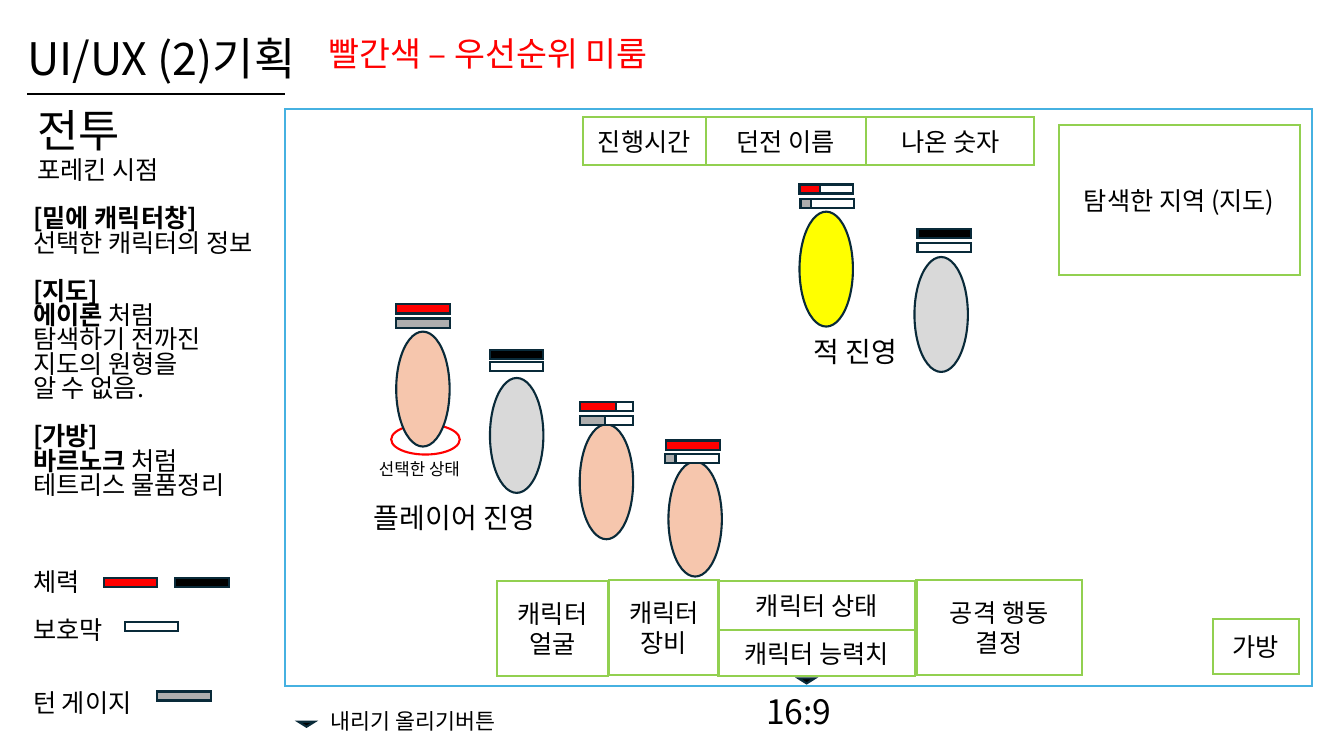
from lxml.etree import SubElement
from pptx import Presentation
from pptx.dml.color import RGBColor
from pptx.enum.shapes import MSO_CONNECTOR, MSO_SHAPE
from pptx.enum.text import MSO_ANCHOR, PP_ALIGN
from pptx.oxml.ns import qn
from pptx.util import Inches, Pt

FONT = "Noto Sans CJK KR"
BLACK, WHITE, RED, GRAY = "000000", "FFFFFF", "FF0000", "AEAEAE"
INK, GREEN, BLUE = "092A39", "92D050", "46B1E1"
SKIN, PALE, YELLOW = "F6C6AD", "D9D9D9", "FFFF00"
BAR_WIDTH, BAR_HEIGHT = 0.53, 0.09
BODY_WIDTH, BODY_HEIGHT = 0.53, 1.14

# Content: left, top, width, height, lines of (text, size), colour, line spacing
LABELS = [
    (0.17, 0.13, 11.5, 0.96, [("UI/UX (2)기획", 32)], BLACK, 0.9),
    (3.16, 0.15, 4.32, 0.8, [("빨간색 – 우선순위 미룸", 24)], RED, 0.9),
    (0.27, 0.93, 2.58, 1.05, [("전투", 32), ("포레킨 시점", 18)], BLACK, 0.9),
    (7.5, 6.68, 1.25, 0.8, [("16:9", 24)], BLACK, 0.9),
    (3.61, 4.92, 2.14, 0.46, [("플레이어 진영", 20)], BLACK, 0.9),
    (7.97, 3.28, 2.14, 0.46, [("적 진영", 20)], BLACK, 0.9),
    (3.66, 4.43, 1.15, 0.46, [("선택한 상태", 12)], BLACK, 0.9),
    (3.18, 6.95, 2.14, 0.46, [("내리기 올리기버튼", 15.5)], BLACK, 0.7),
]

# Side notes: empty lines' worth of space before, bold part, regular part
NOTES = [
    (0, "[밑에 캐릭터창]", ""),
    (0, "", "선택한 캐릭터의 정보"),
    (1, "[지도]", ""),
    (0, "에이론", " 처럼"),
    (0, "", "탐색하기 전까진"),
    (0, "", "지도의 원형을"),
    (0, "", "알 수 없음."),
    (1, "[가방]", ""),
    (0, "바르노크", " 처럼"),
    (0, "", "테트리스 물품정리"),
    (3, "", "체력"),
    (1, "", "보호막"),
    (2, "", "턴 게이지"),
]
NOTE_LINE = 17.3

# Bodies: left, top, colour
BODIES = [
    (3.93, 3.29, SKIN), (4.86, 3.75, PALE), (5.75, 4.21, SKIN),
    (6.63, 4.58, SKIN), (7.93, 2.1, YELLOW), (9.07, 2.55, PALE),
]

# Gauges: left, top, colour, width of the empty part at the right
GAUGES = [
    (3.93, 3.02, RED, 0), (3.93, 3.16, GRAY, 0),
    (4.86, 3.47, BLACK, 0), (4.86, 3.59, WHITE, 0),
    (5.75, 3.99, RED, 0.17), (5.75, 4.13, GRAY, 0.28),
    (6.61, 4.37, RED, 0), (6.6, 4.5, GRAY, 0.43),
    (7.93, 1.83, RED, 0.33), (7.94, 1.97, GRAY, 0.43),
    (9.1, 2.27, BLACK, 0), (9.1, 2.41, WHITE, 0),
    (1.03, 5.73, RED, 0), (1.74, 5.73, BLACK, 0),
    (1.24, 6.17, WHITE, 0), (1.56, 6.86, GRAY, 0),
]

STATUS_LEFT, STATUS_TOP, STATUS_HEIGHT = 5.78, 1.16, 0.48
STATUS = [("진행시간", 1.22), ("던전 이름", 1.59), ("나온 숫자", 1.67)]

PANELS = [
    (10.5, 1.24, 2.39, 1.49, ["탐색한 지역 (지도)"]),
    (12.03, 6.14, 0.85, 0.55, ["가방"]),
    (4.93, 5.76, 1.1, 0.95, ["캐릭터", "얼굴"]),
    (7.12, 5.76, 1.96, 0.49, ["캐릭터 상태"]),
    (7.12, 6.25, 1.96, 0.46, ["캐릭터 능력치"]),
    (6.04, 5.75, 1.09, 0.95, ["캐릭터", "장비"]),
    (9.09, 5.75, 1.64, 0.95, ["공격 행동 결정"]),
]
ARROWS = [(7.92, 6.73), (2.96, 7.16)]

deck = Presentation()
deck.slide_width, deck.slide_height = Inches(13.33), Inches(7.5)
page = deck.slides.add_slide(deck.slide_layouts[6])


def color(value):
    return RGBColor.from_string(value)


def style(para, size, value=BLACK):
    font = para.font
    font.size, font.name = Pt(size), FONT
    font.color.rgb = color(value)
    SubElement(font._element, qn("a:ea"), typeface=FONT)


def add_shape(kind, left, top, width, height, fill, line):
    shape = page.shapes.add_shape(
        kind, Inches(left), Inches(top), Inches(width), Inches(height))
    shape.shadow.inherit = False
    if fill:
        shape.fill.solid()
        shape.fill.fore_color.rgb = color(fill)
    else:
        shape.fill.background()
    shape.line.color.rgb = color(line)
    shape.line.width = Pt(1.5)
    # Sharp corners
    outline = shape._element.spPr.find(qn("a:ln"))
    SubElement(outline, qn("a:miter"), lim="800000")
    return shape


def add_text(left, top, width, height, anchor):
    box = page.shapes.add_textbox(
        Inches(left), Inches(top), Inches(width), Inches(height))
    frame = box.text_frame
    frame.word_wrap = True
    frame.vertical_anchor = anchor
    return frame


def paragraphs(frame, items):
    for index, item in enumerate(items):
        yield (frame.add_paragraph() if index else frame.paragraphs[0]), item


def add_panel(left, top, width, height, lines):
    panel = add_shape(MSO_SHAPE.RECTANGLE, left, top, width, height, None, GREEN)
    frame = panel.text_frame
    frame.word_wrap = True
    frame.vertical_anchor = MSO_ANCHOR.MIDDLE
    for para, text in paragraphs(frame, lines):
        para.text = text
        para.alignment = PP_ALIGN.CENTER
        style(para, 18)


# Game screen and heading rule
add_shape(MSO_SHAPE.RECTANGLE, 2.83, 1.08, 10.18, 5.73, None, BLUE)
rule = page.shapes.add_connector(
    MSO_CONNECTOR.STRAIGHT, Inches(0.27), Inches(0.93), Inches(2.83), Inches(0.93))
rule.line.color.rgb = color(BLACK)
rule.line.width = Pt(1.5)
SubElement(rule._element.spPr, qn("a:effectLst"))

# Fighters, selection ring and gauges
add_shape(MSO_SHAPE.OVAL, 3.88, 4.21, 0.68, 0.3, WHITE, RED)
for left, top, fill in BODIES:
    add_shape(MSO_SHAPE.OVAL, left, top, BODY_WIDTH, BODY_HEIGHT, fill, INK)
for left, top, fill, rest in GAUGES:
    add_shape(MSO_SHAPE.RECTANGLE, left, top, BAR_WIDTH, BAR_HEIGHT, fill, INK)
    if rest:
        add_shape(MSO_SHAPE.RECTANGLE, left + BAR_WIDTH - rest, top,
                  rest, BAR_HEIGHT, WHITE, INK)

# Status row and panels
status_left = STATUS_LEFT
for text, width in STATUS:
    add_panel(status_left, STATUS_TOP, width, STATUS_HEIGHT, [text])
    status_left += width
for panel_data in PANELS:
    add_panel(*panel_data)

# Fold arrows
for left, top in ARROWS:
    arrow = add_shape(MSO_SHAPE.ISOSCELES_TRIANGLE, left, top, 0.16, 0.05, BLACK, INK)
    arrow.rotation = 180

# Headings and captions
for left, top, width, height, lines, value, spacing in LABELS:
    frame = add_text(left, top, width, height, MSO_ANCHOR.MIDDLE)
    for para, (text, size) in paragraphs(frame, lines):
        para.text = text
        para.line_spacing = spacing
        style(para, size, value)

# Side notes
frame = add_text(0.23, 2.02, 2.64, 5.19, MSO_ANCHOR.TOP)
for para, (gap, strong, plain) in paragraphs(frame, NOTES):
    para.line_spacing = 0.8
    if gap:
        para.space_before = Pt(gap * NOTE_LINE)
    style(para, 18)
    for text, bold in ((strong, True), (plain, False)):
        if text:
            span = para.add_run()
            span.text = text
            span.font.bold = bold

deck.save("out.pptx")
